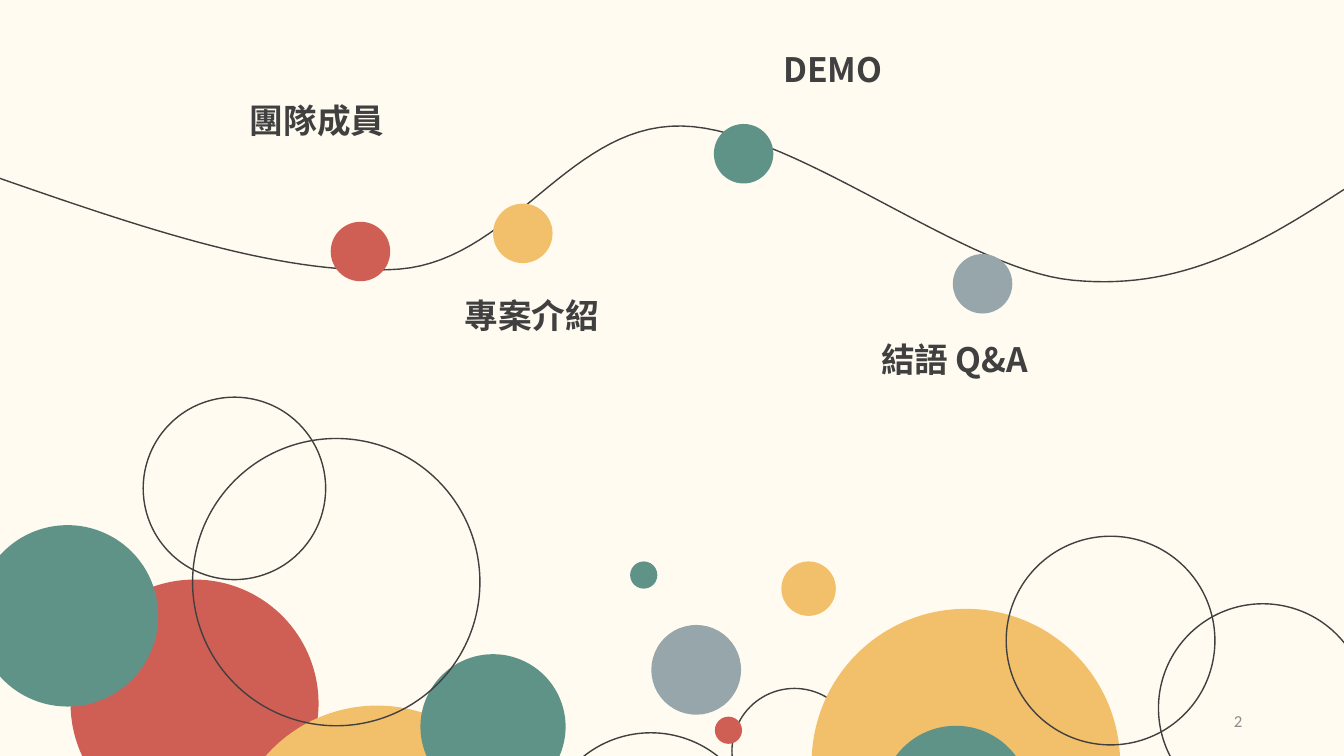
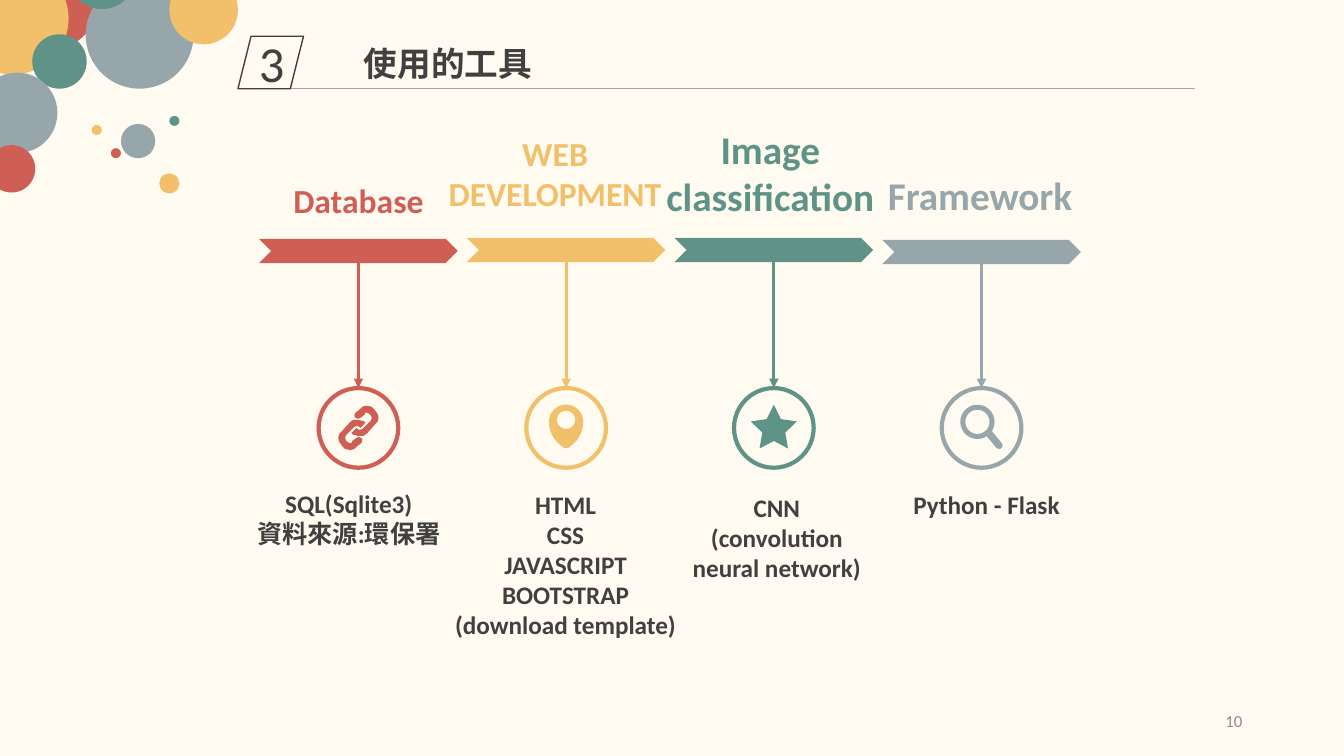
from dataclasses import dataclass
from math import cos, radians, sin

from lxml.etree import SubElement
from pptx import Presentation
from pptx.dml.color import RGBColor
from pptx.enum.shapes import MSO_CONNECTOR, MSO_SHAPE
from pptx.enum.text import MSO_ANCHOR, MSO_AUTO_SIZE, PP_ALIGN
from pptx.oxml.ns import qn
from pptx.util import Inches, Pt


@dataclass(frozen=True)
class Theme:
    paper: str = "FFFBF0"
    ink: str = "404040"
    rule: str = "A6A6A6"
    muted: str = "8C8C8C"
    red: str = "CF5F55"
    yellow: str = "F2C06B"
    green: str = "5F9387"
    gray: str = "97A6AB"
    latin: str = "Calibri"
    cjk: str = "Noto Sans CJK SC"
    badge: int = 36
    large: int = 28
    title: int = 24
    body: int = 18
    footer: int = 12


T = Theme()


def rgb(color):
    return RGBColor.from_string(color)


def write(tf, text, *, size=T.body, color=T.ink, font=T.latin, bold=True,
          align=PP_ALIGN.LEFT, anchor=MSO_ANCHOR.TOP, wrap=True, grow=True):
    """Fill a text frame, one paragraph per line of text."""
    tf.word_wrap = wrap
    tf.auto_size = MSO_AUTO_SIZE.SHAPE_TO_FIT_TEXT if grow else MSO_AUTO_SIZE.NONE
    tf.vertical_anchor = anchor
    for i, line in enumerate(text.split("\n")):
        p = tf.add_paragraph() if i else tf.paragraphs[0]
        p.alignment = align
        r = p.add_run()
        r.text = line
        r.font.size, r.font.bold, r.font.name = Pt(size), bold, font
        r.font.color.rgb = rgb(color)
        SubElement(r.font._element, qn("a:ea"), typeface=T.cjk)


class Deck:
    """Holds the presentation style and the current slide."""

    def __init__(self):
        self.prs = Presentation()
        self.prs.slide_width, self.prs.slide_height = Inches(13.33), Inches(7.5)
        fill = self.prs.slide_master.background.fill
        fill.solid()
        fill.fore_color.rgb = rgb(T.paper)
        self.s = None

    def new_slide(self, layout, number):
        self.s = self.prs.slides.add_slide(self.prs.slide_layouts.get_by_name(layout))
        self.text(number, 9.42, 6.95, 3, 0.4, size=T.footer, color=T.muted, bold=False,
                  align=PP_ALIGN.RIGHT, anchor=MSO_ANCHOR.MIDDLE, grow=False)

    def paint(self, sp, fill=None, line=None, width=1):
        sp.shadow.inherit = False
        if fill:
            sp.fill.solid()
            sp.fill.fore_color.rgb = rgb(fill)
        else:
            sp.fill.background()
        if line:
            sp.line.color.rgb = rgb(line)
            sp.line.width = Pt(width)
        else:
            sp.line.fill.background()
        return sp

    def shape(self, kind, x, y, w, h, shapes=None, **style):
        shapes = shapes or self.s.shapes
        return self.paint(shapes.add_shape(kind, Inches(x), Inches(y), Inches(w), Inches(h)), **style)

    def circle(self, x, y, d, shapes=None, **style):
        return self.shape(MSO_SHAPE.OVAL, x, y, d, d, shapes, **style)

    def bubbles(self, items):
        """Group of circles; one without a colour is an outline."""
        group = self.s.shapes.add_group_shape().shapes
        for x, y, d, color in items:
            self.circle(x, y, d, group, fill=color, line=None if color else T.ink)

    def text(self, text, x, y, w, h, **fmt):
        box = self.s.shapes.add_textbox(Inches(x), Inches(y), Inches(w), Inches(h))
        write(box.text_frame, text, **fmt)

    def line(self, x1, y1, x2, y2, color, width, arrow=False):
        cx = self.s.shapes.add_connector(MSO_CONNECTOR.STRAIGHT, Inches(x1), Inches(y1),
                                         Inches(x2), Inches(y2))
        cx.line.color.rgb = rgb(color)
        cx.line.width = Pt(width)
        pr = cx.element.spPr
        if arrow:
            SubElement(pr.find(qn("a:ln")), qn("a:tailEnd"), type="triangle")
        SubElement(pr, qn("a:effectLst"))

    def outline(self, contours, x=0, y=0, close=True, **style):
        """Freeform from contours of points, offset by x and y."""
        builder = None
        for contour in contours:
            first, *rest = [(Inches(x + px), Inches(y + py)) for px, py in contour]
            if builder is None:
                builder = self.s.shapes.build_freeform(*first, scale=1.0)
            else:
                builder.move_to(*first)
            builder.add_line_segments(rest, close=close)
        return self.paint(builder.convert_to_shape(), **style)

    def header(self, number, title):
        self.line(2.84, 0.88, 11.85, 0.88, T.rule, 0.5)
        badge = self.shape(MSO_SHAPE.PARALLELOGRAM, 2.36, 0.36, 0.65, 0.52, line=T.ink)
        write(badge.text_frame, number, size=T.badge, bold=False, align=PP_ALIGN.CENTER,
              anchor=MSO_ANCHOR.MIDDLE, grow=False)
        sp = self.s.shapes.title
        sp.left, sp.top, sp.width, sp.height = Inches(3.51), Inches(0.38), Inches(5.13), Inches(0.51)
        write(sp.text_frame, title, size=T.title, font=T.cjk)


# Outline geometry

def bezier(start, segments, steps=30):
    points = [start]
    for c1, c2, end in segments:
        p0 = points[-1]
        for i in range(1, steps + 1):
            t = i / steps
            u = 1 - t
            points.append(tuple(u**3 * a + 3 * u * u * t * b + 3 * u * t * t * c + t**3 * d
                                for a, b, c, d in zip(p0, c1, c2, end)))
    return points


def arc(cx, cy, radius, start=0, end=360, steps=32):
    angles = [radians(start + (end - start) * i / steps) for i in range(steps + 1)]
    return [(cx + radius * cos(a), cy + radius * sin(a)) for a in angles]


def link_icon():
    hundredths = [(-1, -8), (1, -8), (3, -7), (5, -7), (7, -5), (2, 0), (1, -1), (-1, -2),
                  (-4, -1), (-12, 7), (-13, 9), (-13, 11), (-12, 13), (-9, 15), (-7, 15),
                  (-6, 13), (-2, 10), (0, 9), (3, 10), (4, 12), (3, 15), (-1, 18), (-4, 21),
                  (-8, 22), (-13, 21), (-16, 18), (-19, 14), (-20, 10), (-19, 6), (-16, 3),
                  (-9, -5), (-5, -8)]
    half = [(x / 100, y / 100) for x, y in hundredths]
    return [half, [(-x, -y) for x, y in half]]


def pin_icon():
    side = [(0.17, -0.04), (0.16, 0.02), (0.14, 0.07), (0.11, 0.12), (0.07, 0.16), (0.02, 0.2)]
    mirrored = [(-x, y) for x, y in reversed(side)]
    return [arc(0, -0.08, 0.09), arc(0, -0.06, 0.17, 180, 360) + side + mirrored]


def star_icon():
    angles = [radians(36 * i) for i in range(10)]
    radii = [0.24, 0.12] * 5
    return [[(r * sin(a), 0.01 - r * cos(a)) for r, a in zip(radii, angles)]]


def magnifier_icon():
    handle = [(0.2, 0.15), (0.21, 0.17), (0.2, 0.2), (0.18, 0.21), (0.15, 0.2)]
    return [arc(-0.04, -0.06, 0.12), arc(-0.04, -0.06, 0.17, 57, 393) + handle]


def agenda(deck):
    deck.new_slide("Blank", "2")
    # Bubbles along the bottom
    deck.bubbles([
        (0.7, 5.75, 2.46, T.red), (2.27, 7, 2.94, T.yellow), (4.17, 6.49, 1.44, T.green),
        (5.39, 7.27, 2.13, None), (1.91, 4.35, 2.85, None), (-0.23, 5.21, 1.8, T.green),
        (7.26, 6.83, 1.24, None), (8.05, 6.04, 3.06, T.yellow), (8.74, 7.2, 1.48, T.green),
        (9.98, 5.32, 2.07, None), (11.49, 5.99, 2.07, None), (6.46, 6.2, 0.89, T.gray),
        (7.09, 7.11, 0.27, T.red), (6.25, 5.57, 0.27, T.green), (7.75, 5.57, 0.54, T.yellow),
        (1.42, 3.94, 1.81, None)])
    # Winding road
    road = bezier((0, 1.77), [
        ((1.41, 2.26), (2.83, 2.75), (3.96, 2.67)), ((5.08, 2.58), (5.64, 1.23), (6.76, 1.25)),
        ((7.87, 1.27), (9.55, 2.68), (10.64, 2.78)), ((11.74, 2.89), (12.54, 2.39), (13.33, 1.88))])
    deck.outline([road], close=False, line=T.ink)
    # Stops and their labels
    for label, color, x, y, label_x, label_y in [
            ("團隊成員", T.red, 3.28, 2.2, 2.38, 0.94),
            ("專案介紹", T.yellow, 4.89, 2.02, 4.51, 2.88),
            ("DEMO", T.green, 7.08, 1.23, 7.67, 0.44),
            ("結語 Q&A", T.gray, 9.45, 2.52, 8.64, 3.31)]:
        deck.circle(x, y, 0.59, fill=color)
        deck.text(label, label_x, label_y, 3.11, 0.5, size=T.title, font=T.cjk)


def tools(deck):
    deck.new_slide("Title Only", "10")
    # Columns: heading and note hold text, box and format
    columns = [
        (T.red, 2.37, link_icon(), ("Database", (2.8, 1.74, 1.51, 0.5), T.title, False),
         ("SQL(Sqlite3)\n資料來源:環保署", (2.43, 4.79, 2.06, 0.71))),
        (T.yellow, 2.36, pin_icon(), ("WEB\nDEVELOPMENT", (4.3, 1.27, 2.41, 0.91), T.title, True),
         ("HTML\nCSS\nJAVASCRIPT\nBOOTSTRAP\n(download template)", (4.23, 4.8, 2.76, 1.62))),
        (T.green, 2.36, star_icon(),
         ("Image\nclassification", (6.48, 1.19, 2.32, 1.04), T.large, False),
         ("CNN\n(convolution neural network)", (6.72, 4.83, 1.97, 1.01))),
        (T.gray, 2.38, magnifier_icon(), ("Framework", (8.7, 1.65, 2.04, 0.57), T.large, False),
         ("Python - Flask", (8.8, 4.81, 1.97, 0.4)))]
    width, pitch, ring, ring_top = 1.97, 2.06, 0.79, 3.85
    for i, (color, top, icon, heading, note) in enumerate(columns):
        left = 2.57 + pitch * i
        center = left + width / 2
        deck.shape(MSO_SHAPE.CHEVRON, left, top, width, 0.24, fill=color)
        text, box, size, wrap = heading
        deck.text(text, *box, size=size, color=color, wrap=wrap, align=PP_ALIGN.CENTER)
        text, box = note
        deck.text(text, *box, align=PP_ALIGN.CENTER)
        deck.circle(center - ring / 2, ring_top, ring, line=color, width=3)
        deck.line(center, 2.39, center, ring_top, color, 2.25, arrow=True)
        deck.outline(icon, center, ring_top + ring / 2, fill=color)
    # Corner bubbles
    deck.bubbles([
        (0.04, -0.44, 0.93, T.red), (-0.43, -0.37, 1.11, T.yellow), (0.32, 0.34, 0.54, T.green),
        (-0.23, 0.72, 0.8, T.gray), (0.85, -0.19, 1.07, T.gray), (0.67, -0.59, 0.68, T.green),
        (-0.12, 1.44, 0.47, T.red), (1.2, 1.23, 0.34, T.gray), (1.1, 1.47, 0.1, T.red),
        (0.91, 1.24, 0.1, T.yellow), (1.68, 1.15, 0.1, T.green), (1.58, 1.72, 0.2, T.yellow),
        (1.68, -0.24, 0.68, T.yellow)])
    deck.header("3", "使用的工具")


def main():
    deck = Deck()
    agenda(deck)
    tools(deck)
    deck.prs.save("out.pptx")


if __name__ == "__main__":
    main()
